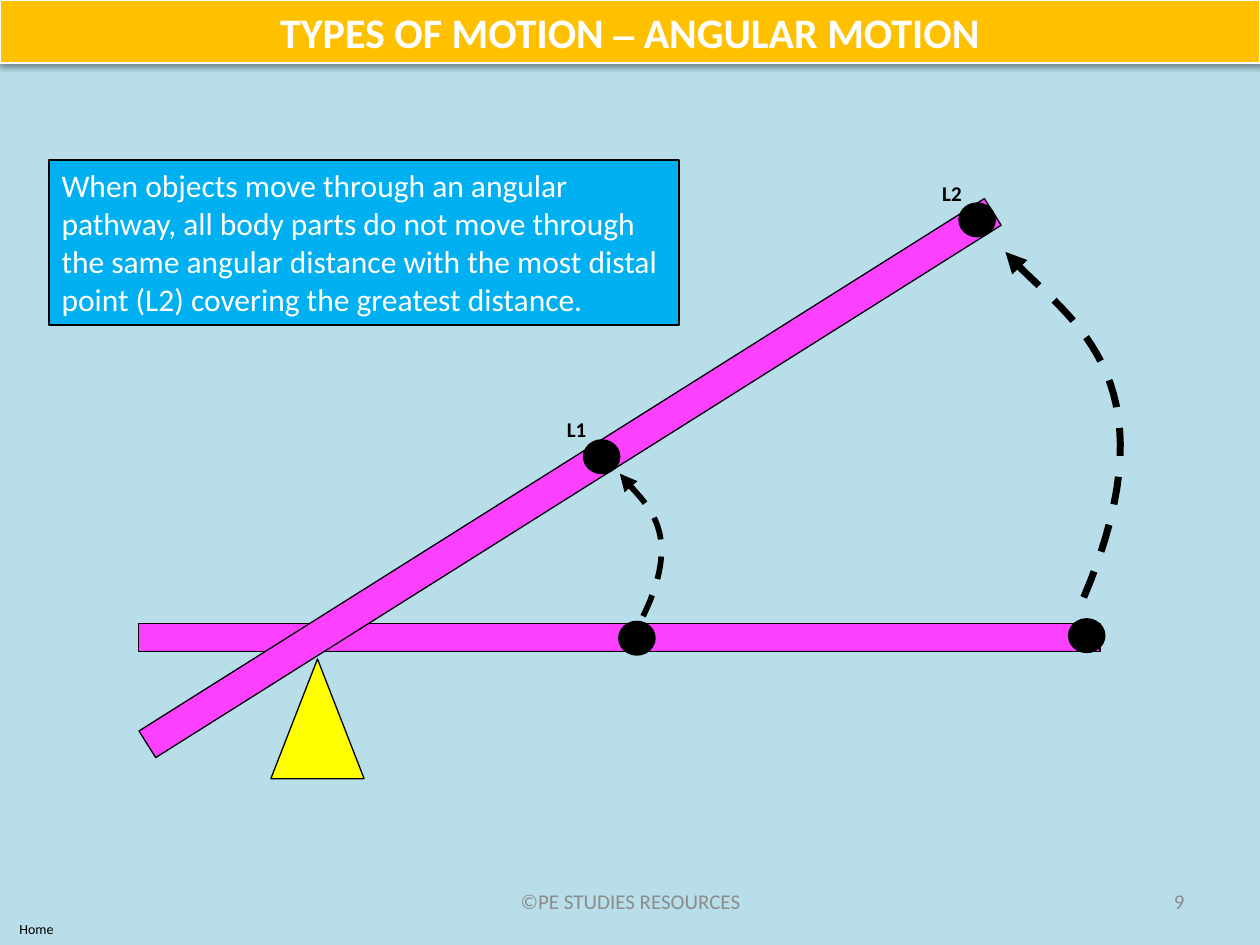
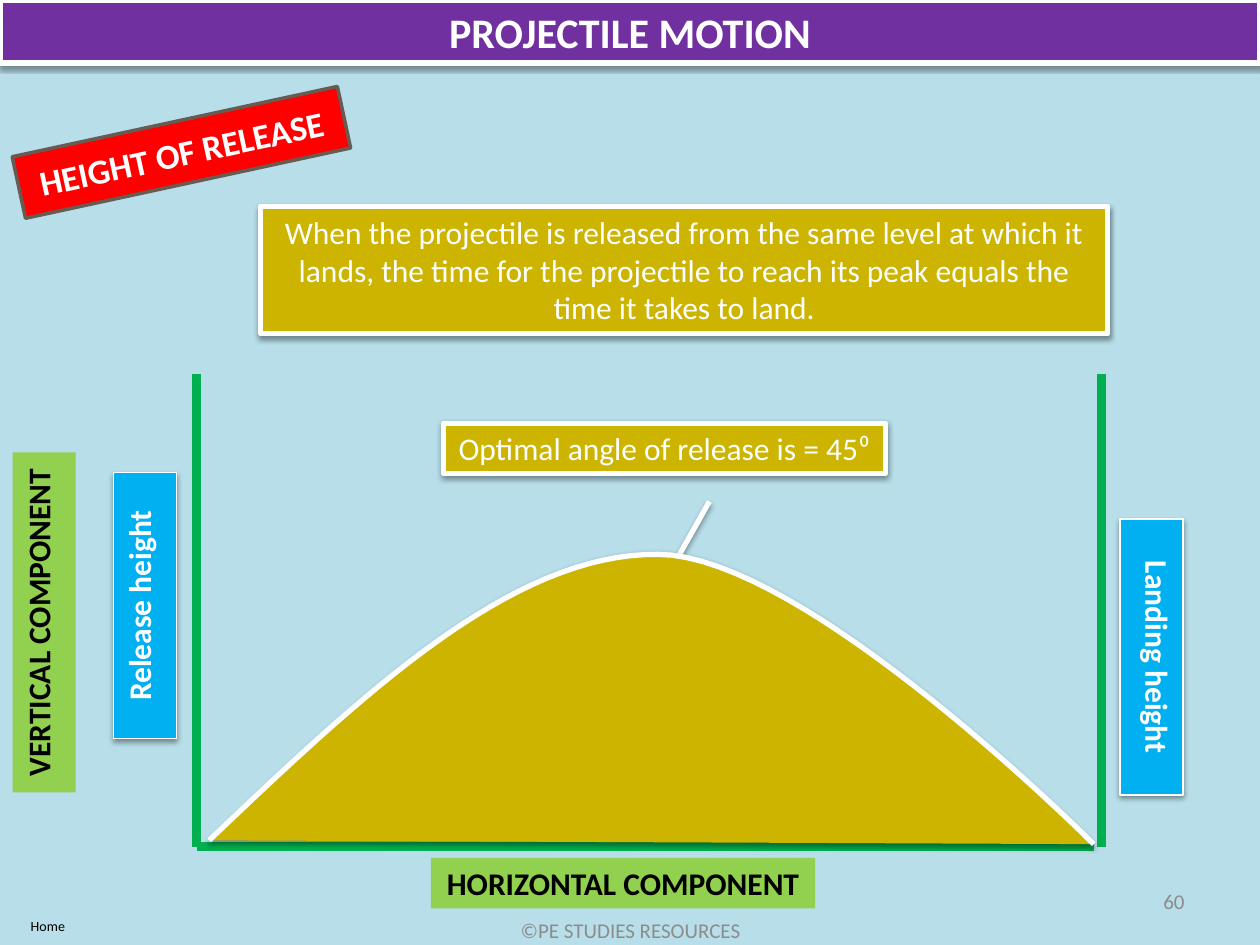
from lxml.etree import SubElement
from pptx import Presentation
from pptx.dml.color import RGBColor
from pptx.enum.dml import MSO_LINE
from pptx.enum.shapes import MSO_CONNECTOR, MSO_SHAPE
from pptx.enum.text import MSO_ANCHOR, PP_ALIGN
from pptx.oxml.ns import qn
from pptx.util import Inches, Pt

COLORS = {
    "sky": "B7DEE9", "white": "FFFFFF", "black": "000000", "grey": "8C8C8C",
    "amber": "FFC000", "purple": "7030A0", "blue": "00B0F0", "pink": "FB40FF",
    "yellow": "FFFF00", "gold": "CCB400", "green": "00B050", "lime": "92D050",
    "red": "FF0000", "brown": "685B53",
}

# Font values and colour of each text style
TEXT = {
    "title": ({"size": Pt(24), "bold": True}, "white"),
    "body": ({"size": Pt(18), "bold": False}, "white"),
    "strong": ({"size": Pt(18), "bold": True}, "white"),
    "axis": ({"size": Pt(18), "bold": True}, "black"),
    "tag": ({"size": Pt(20), "bold": True}, "white"),
    "label": ({"size": Pt(12), "bold": True}, "black"),
    "footer": ({"size": Pt(12), "bold": False}, "grey"),
    "home": ({"size": Pt(8), "bold": False}, "black"),
}
LEFT, CENTER, RIGHT = PP_ALIGN.LEFT, PP_ALIGN.CENTER, PP_ALIGN.RIGHT
TOP, MIDDLE = MSO_ANCHOR.TOP, MSO_ANCHOR.MIDDLE
COLS, ROWS = 100, 75


def rgb(name):
    return RGBColor.from_string(COLORS[name])


def bezier(p0, p1, p2, p3, steps=32):
    """Points along a cubic curve."""
    for i in range(steps + 1):
        t = i / steps
        u = 1 - t
        weights = (u ** 3, 3 * u * u * t, 3 * u * t * t, t ** 3)
        yield tuple(sum(w * p[axis] for w, p in zip(weights, (p0, p1, p2, p3)))
                    for axis in (0, 1))


class Deck:
    """Style and current slide; lengths are columns and rows of the grid."""

    def __init__(self):
        self.prs = Presentation()
        self.prs.slide_width, self.prs.slide_height = Inches(10), Inches(7.5)
        self.col = self.prs.slide_width / COLS
        self.row = self.prs.slide_height / ROWS
        fill = self.prs.slide_master.background.fill
        fill.solid()
        fill.fore_color.rgb = rgb("sky")
        self.s = None

    def grid(self, *values):
        units = (self.col, self.row)
        return [round(v * units[i % 2]) for i, v in enumerate(values)]

    def slide(self, title, band, width):
        self.s = self.prs.slides.add_slide(self.prs.slide_layouts[5])
        sp = self.s.shapes.title
        names = ("left", "top", "width", "height")
        for name, value in zip(names, self.grid(0, 0, COLS, 5)):
            setattr(sp, name, value)
        self.paint(sp, band, "white", width, shadow=True)
        self.put_text(sp, title, "title", anchor=MIDDLE)

    def effects(self, sp, shadow):
        props = sp.element.spPr
        effects = props.find(qn("a:effectLst"))
        if effects is None:
            effects = SubElement(props, qn("a:effectLst"))
        if shadow:
            sh = SubElement(effects, qn("a:outerShdw"), blurRad="40000",
                            dist="20000", dir="5400000", rotWithShape="0")
            color = SubElement(sh, qn("a:srgbClr"), val=COLORS["black"])
            SubElement(color, qn("a:alpha"), val="38000")

    def stroke(self, sp, color, width):
        sp.line.color.rgb = rgb(color)
        sp.line.width = Pt(width)

    def arrowhead(self, sp, end, kind):
        SubElement(sp.element.spPr.find(qn("a:ln")), qn(end), type=kind)

    def paint(self, sp, fill, line=None, width=0.75, shadow=False):
        if fill:
            sp.fill.solid()
            sp.fill.fore_color.rgb = rgb(fill)
        else:
            sp.fill.background()
        if line:
            self.stroke(sp, line, width)
        else:
            sp.line.fill.background()
        sp.shadow.inherit = False
        self.effects(sp, shadow)

    def put_text(self, sp, text, style, align=CENTER, anchor=TOP, wrap=True, vert=None):
        tf = sp.text_frame
        tf.word_wrap, tf.vertical_anchor = wrap, anchor
        if vert:
            sp.element.txBody.bodyPr.set("vert", vert)
        p = tf.paragraphs[0]
        p.alignment = align
        r = p.add_run()
        r.text = text
        values, color = TEXT[style]
        for name, value in {"name": "Calibri", **values}.items():
            setattr(r.font, name, value)
        r.font.color.rgb = rgb(color)

    def shape(self, at, fill, line=None, width=0.75, kind=MSO_SHAPE.RECTANGLE,
              shadow=False, rotation=0):
        sp = self.s.shapes.add_shape(kind, *self.grid(*at))
        sp.rotation = rotation
        self.paint(sp, fill, line, width, shadow)
        return sp

    def text(self, at, text, style, **layout):
        sp = self.s.shapes.add_textbox(*self.grid(*at))
        self.put_text(sp, text, style, **layout)

    def line(self, start, end, color, width, arrow=False, shadow=False):
        sp = self.s.shapes.add_connector(MSO_CONNECTOR.STRAIGHT,
                                         *self.grid(*start, *end))
        self.stroke(sp, color, width)
        if arrow:
            self.arrowhead(sp, "a:tailEnd", "arrow")
        self.effects(sp, shadow)

    def curve(self, points, fill, line, width, shadow=False):
        first, *rest = [self.grid(*p) for p in points]
        builder = self.s.shapes.build_freeform(*first)
        builder.add_line_segments(rest, close=False)
        sp = builder.convert_to_shape()
        self.paint(sp, fill, line, width, shadow)
        return sp

    def dashed_arrow(self, points, width):
        sp = self.curve(points, None, "black", width)
        sp.line.dash_style = MSO_LINE.DASH
        self.arrowhead(sp, "a:headEnd", "triangle")

    def footer(self, number, credit_row, home_at):
        self.text((34.2, credit_row, 31.7, 4), "©PE STUDIES RESOURCES", "footer",
                  anchor=MIDDLE)
        self.text((71.7, 69.5, 23.3, 4), str(number), "footer", align=RIGHT,
                  anchor=MIDDLE)
        self.text((*home_at, 5.8, 2.4), "Home", "home", wrap=False)


def angular_motion(deck):
    deck.slide("TYPES OF MOTION ⎯ ANGULAR MOTION", "amber", 0.75)
    deck.footer(9, 69.5, (0, 72.6))

    # Lever before and after turning on its pivot
    deck.shape((11, 49.5, 76.3, 2.2), "pink", "black")
    deck.shape((21.5, 52.3, 7.4, 9.5), "yellow", "black",
               kind=MSO_SHAPE.ISOSCELES_TRIANGLE)
    deck.shape((5.6, 36.7, 79.3, 2.5), "pink", "black", rotation=327.8)

    # Explanation
    note = deck.shape((3.9, 12.7, 50, 13.1), "blue", "black")
    deck.put_text(note, "When objects move through an angular pathway, all body parts "
                  "do not move through the same angular distance with the most distal "
                  "point (L2) covering the greatest distance.", "body", align=LEFT)

    # Points on the lever; the raised ones are named
    for x, y, name in ((46.4, 35, "L1"), (76.2, 16.2, "L2"),
                       (49.2, 49.4, None), (84.9, 49.2, None)):
        deck.shape((x, y, 2.7, 2.5), "black", "black", 2, kind=MSO_SHAPE.OVAL)
        if name:
            deck.text((x - 2.4, y - 2.4, 3.6, 3), name, "label", align=LEFT, wrap=False)

    # Distance covered by each point
    deck.dashed_arrow(bezier((79.8, 20), (84.2, 25.1), (93.8, 29.3), (85.9, 47.7)), 4)
    deck.dashed_arrow(bezier((49.2, 37.6), (50.8, 39.8), (54.6, 41.7), (51, 49)), 3.25)


def projectile_motion(deck):
    deck.slide("PROJECTILE MOTION", "purple", 3)
    left, right, top, ground = 15.6, 87.4, 29.7, 67.2

    # Height lines and their names
    for x in (left, right):
        deck.line((x, top), (x, ground), "green", 5)
    for at, name, vert in (((9, 37.5, 5, 21.1), "Release height", "vert270"),
                           ((88.9, 41.2, 5, 21.9), "Landing height", "vert")):
        sp = deck.shape(at, "blue", "white", shadow=True)
        deck.put_text(sp, name, "strong", vert=vert)

    # Flight path over the ground
    deck.line((56.3, 39.8), (52.3, 46.9), "white", 3, arrow=True, shadow=True)
    deck.line((left, ground), (86.8, ground), "green", 5)
    peak = (52.2, 44)
    rise = bezier((16.6, 66.7), (28.6, 55.3), (40.5, 43.9), peak)
    fall = bezier(peak, (63.9, 44), (86.8, 67), (86.8, 67))
    deck.curve([*rise, *list(fall)[1:]], "gold", "white", 3, shadow=True)

    # Explanations
    for at, words in (
            ((35.2, 33.6, 35.1, 4), "Optimal angle of release is = 45⁰"),
            ((20.7, 16.4, 67.2, 10.1),
             "When the projectile is released from the same level at which it lands, "
             "the time for the projectile to reach its peak equals the time it takes "
             "to land.")):
        sp = deck.shape(at, "gold", "white", 3, shadow=True)
        deck.put_text(sp, words, "body")

    # Component names and the topic tag
    for at, name, vert in (((1, 35.9, 5, 27), "VERTICAL COMPONENT", "vert270"),
                           ((34.2, 68.1, 30.5, 4), "HORIZONTAL COMPONENT", None)):
        deck.put_text(deck.shape(at, "lime"), name, "axis", vert=vert)
    tag = deck.shape((1.2, 9.6, 26.4, 5), "red", "brown", 2, rotation=347.8)
    deck.put_text(tag, "HEIGHT OF RELEASE", "tag", anchor=MIDDLE)

    deck.footer(60, 71.8, (0.9, 72.3))


def main():
    deck = Deck()
    angular_motion(deck)
    projectile_motion(deck)
    deck.prs.save("out.pptx")


if __name__ == "__main__":
    main()
